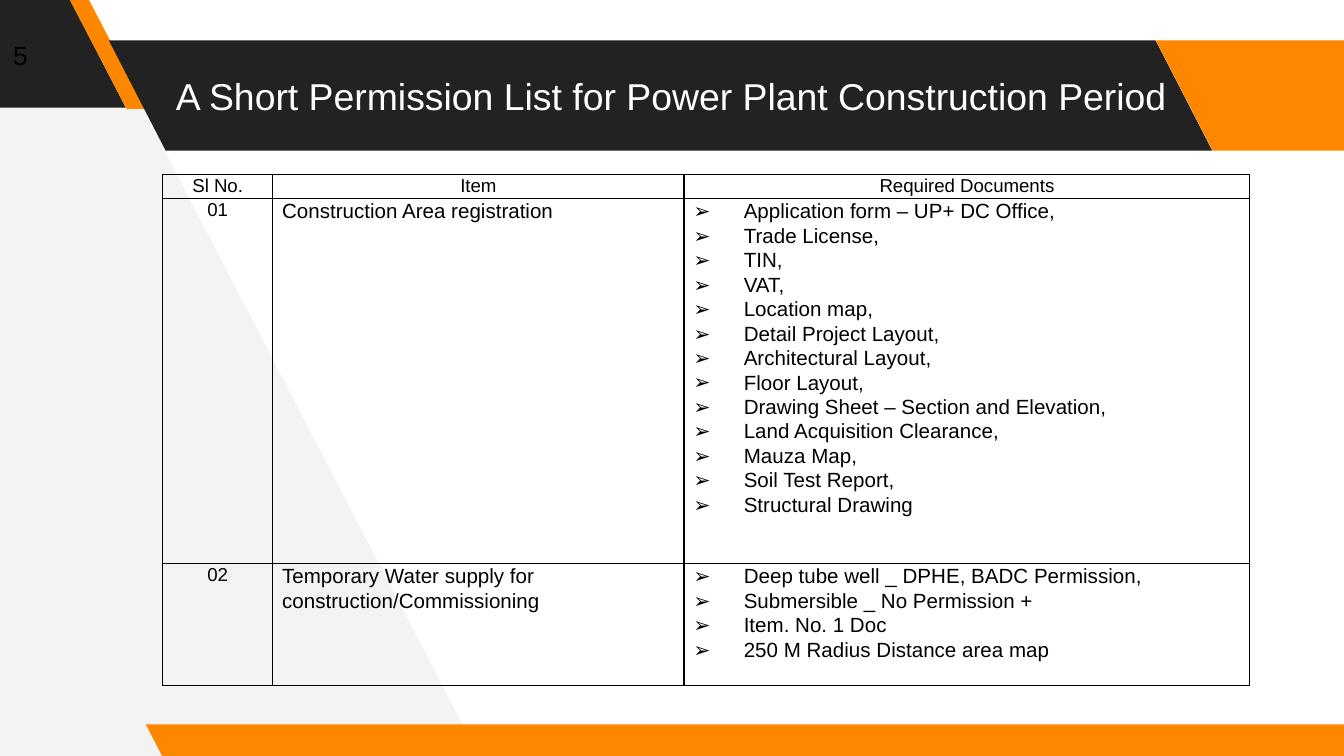
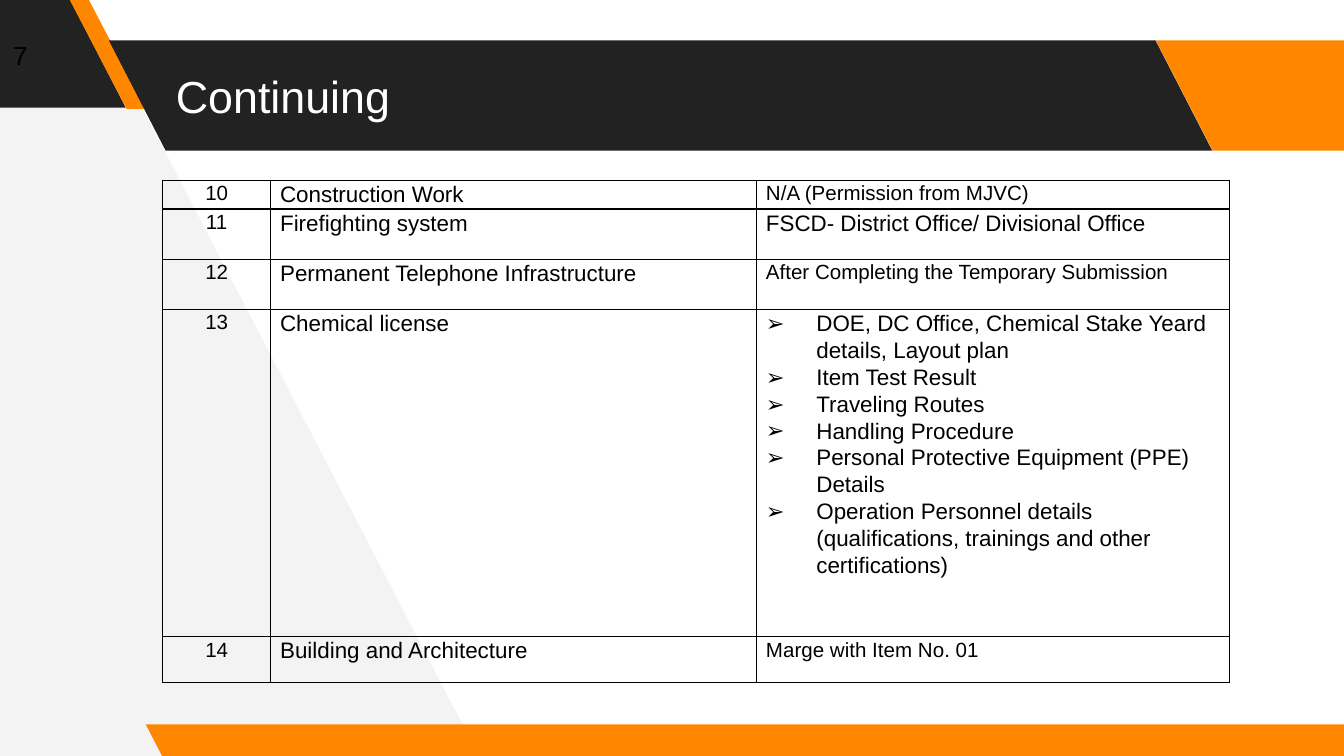
from dataclasses import dataclass

from lxml import etree
from pptx import Presentation
from pptx.dml.color import RGBColor
from pptx.enum.shapes import MSO_SHAPE
from pptx.enum.text import MSO_ANCHOR, PP_ALIGN
from pptx.oxml.ns import qn
from pptx.util import Emu, Inches, Pt

PARALLELOGRAM = MSO_SHAPE.PARALLELOGRAM
MIDDLE = MSO_ANCHOR.MIDDLE
LEFT, CENTER = PP_ALIGN.LEFT, PP_ALIGN.CENTER

SLIDE_WIDTH = Inches(10)
SLIDE_HEIGHT = Emu(SLIDE_WIDTH * 9 // 16)
GRID_COLUMNS = 100
UNIT = SLIDE_WIDTH // GRID_COLUMNS


def grid(count: float) -> Emu:
    return Emu(round(count * UNIT))


@dataclass(frozen=True)
class Theme:
    font: str = "Arial"
    dark: str = "222222"
    accent: str = "FF8700"
    pale: str = "F3F3F3"
    text: str = "000000"
    title: str = "FFFFFF"
    number_size: float = 14
    border_width: float = 0.75
    line_spacing: float = 1.07
    box_inset: float = 1
    cell_inset: float = 0.7
    bullet_indent: float = 3.75
    bullet: str = "➢"


THEME = Theme()


@dataclass(frozen=True)
class Area:
    left: float
    top: float
    width: float
    height: float

    def place(self) -> tuple[Emu, Emu, Emu, Emu]:
        return grid(self.left), grid(self.top), grid(self.width), grid(self.height)


@dataclass(frozen=True)
class Band:
    area: Area
    color: str
    slant: float = 0.515


@dataclass(frozen=True)
class CellText:
    lines: tuple[str, ...]
    size: float
    align: PP_ALIGN = LEFT
    bulleted: bool = False


@dataclass(frozen=True)
class TableRow:
    height: float
    cells: tuple[CellText, ...]


@dataclass(frozen=True)
class PermissionPage:
    number: str
    title: str
    title_size: float
    title_width: float
    table_top: float
    column_widths: tuple[float, ...]
    rows: tuple[TableRow, ...]


WEDGE = ((35.6, 56.2), (6.2, -0.4), (-0.6, -0.4), (-0.2, 56.6))
BANDS = (
    Band(Area(-9.85, -0.2, 19.2, 8.2), THEME.dark),
    Band(Area(5.15, -0.1, 5.7, 8.2), THEME.accent, 0.75),
    Band(Area(8.1, 3, 82.1, 8.2), THEME.dark),
    Band(Area(86, 3, 19.2, 8.2), THEME.accent),
    Band(Area(10.85, 53.9, 91.5, 2.5), THEME.accent),
)
NUMBER_AREA = Area(0, 2.1, 6, 4)
CONTENT_LEFT = 12.1
TITLE_TOP, TITLE_HEIGHT = 3, 8.2


def centered(text: str, size: float) -> CellText:
    return CellText((text,), size, CENTER)


def plain(text: str, size: float) -> CellText:
    return CellText((text,), size)


def bullets(size: float, *lines: str) -> CellText:
    return CellText(lines, size, bulleted=True)


PAGES = (
    PermissionPage(
        "5", "A Short Permission List for Power Plant Construction Period", 20, 82.9,
        13, (8.2, 30.6, 42.1),
        (
            TableRow(1.65, tuple(
                centered(heading, 10)
                for heading in ("Sl No.", "Item", "Required Documents")
            )),
            TableRow(27.15, (
                centered("01", 10),
                plain("Construction Area registration", 11),
                bullets(
                    11,
                    "Application form – UP+ DC Office,",
                    "Trade License,",
                    "TIN,",
                    "VAT,",
                    "Location map,",
                    "Detail Project Layout,",
                    "Architectural Layout,",
                    "Floor Layout,",
                    "Drawing Sheet – Section and Elevation,",
                    "Land Acquisition Clearance,",
                    "Mauza Map,",
                    "Soil Test Report,",
                    "Structural Drawing",
                ),
            )),
            TableRow(9.1, (
                centered("02", 10),
                plain("Temporary Water supply for construction/Commissioning", 11),
                bullets(
                    11,
                    "Deep tube well _ DPHE, BADC Permission,",
                    "Submersible _ No Permission +",
                    "Item. No. 1 Doc",
                    "250 M Radius Distance area map",
                ),
            )),
        ),
    ),
    PermissionPage(
        "7", "Continuing", 24, 73.5, 13.4, (8.05, 36.15, 35.2),
        (
            TableRow(1.9, (
                centered("10", 11),
                plain("Construction Work", 12),
                plain("N/A (Permission from MJVC)", 11),
            )),
            TableRow(3.75, (
                centered("11", 11),
                plain("Firefighting system", 12),
                plain("FSCD- District Office/ Divisional Office", 12),
            )),
            TableRow(3.75, (
                centered("12", 11),
                plain("Permanent Telephone Infrastructure", 12),
                plain("After Completing the Temporary Submission", 11),
            )),
            TableRow(24.35, (
                centered("13", 11),
                plain("Chemical license", 12),
                bullets(
                    12,
                    "DOE, DC Office, Chemical Stake Yeard details, Layout plan",
                    "Item Test Result",
                    "Traveling Routes",
                    "Handling Procedure",
                    "Personal Protective Equipment (PPE) Details",
                    "Operation Personnel details (qualifications, trainings "
                    "and other certifications)",
                ),
            )),
            TableRow(3.4, (
                centered("14", 11),
                plain("Building and Architecture", 12),
                plain("Marge with Item No. 01", 11),
            )),
        ),
    ),
)


def paint(shape, color: str) -> None:
    shape.shadow.inherit = False
    shape.fill.solid()
    shape.fill.fore_color.rgb = RGBColor.from_string(color)
    shape.line.fill.background()


def add_span(para, text: str, size: float, color: str) -> None:
    span = para.add_run()
    span.text = text
    span.font.name = THEME.font
    span.font.size = Pt(size)
    span.font.color.rgb = RGBColor.from_string(color)


def add_backdrop(page) -> None:
    start, *corners = [(grid(x), grid(y)) for x, y in WEDGE]
    outline = page.shapes.build_freeform(*start)
    outline.add_line_segments(corners, close=True)
    paint(outline.convert_to_shape(), THEME.pale)
    for band in BANDS:
        shape = page.shapes.add_shape(PARALLELOGRAM, *band.area.place())
        shape.adjustments[0] = band.slant
        shape._element.spPr.find(qn("a:xfrm")).set("flipH", "1")
        paint(shape, band.color)


def add_label(page, area: Area, text: str, size: float, color: str) -> None:
    frame = page.shapes.add_textbox(*area.place()).text_frame
    frame.word_wrap = True
    frame.vertical_anchor = MIDDLE
    inset = grid(THEME.box_inset)
    frame.margin_left = frame.margin_right = inset
    frame.margin_top = frame.margin_bottom = inset
    add_span(frame.paragraphs[0], text, size, color)


def add_borders(cell) -> None:
    properties = cell._tc.get_or_add_tcPr()
    for side in ("a:lnL", "a:lnR", "a:lnT", "a:lnB"):
        line = etree.SubElement(properties, qn(side), w=str(Pt(THEME.border_width)))
        fill = etree.SubElement(line, qn("a:solidFill"))
        etree.SubElement(fill, qn("a:srgbClr"), val=THEME.text)


def add_bullet(para) -> None:
    properties = para._p.get_or_add_pPr()
    indent = grid(THEME.bullet_indent)
    properties.set("marL", str(indent))
    properties.set("indent", str(-indent))
    etree.SubElement(properties, qn("a:buFont"), typeface=THEME.font)
    etree.SubElement(properties, qn("a:buChar"), char=THEME.bullet)


def fill_cell(cell, content: CellText) -> None:
    add_borders(cell)
    cell.fill.background()
    cell.margin_left = cell.margin_right = grid(THEME.cell_inset)
    cell.margin_top = cell.margin_bottom = 0
    frame = cell.text_frame
    for index, text in enumerate(content.lines):
        para = frame.add_paragraph() if index else frame.paragraphs[0]
        para.alignment = content.align
        para.line_spacing = THEME.line_spacing
        if content.bulleted:
            add_bullet(para)
        add_span(para, text, content.size, THEME.text)


def add_permission_table(page, content: PermissionPage) -> None:
    area = Area(
        CONTENT_LEFT,
        content.table_top,
        sum(content.column_widths),
        sum(row.height for row in content.rows),
    )
    table = page.shapes.add_table(
        len(content.rows), len(content.column_widths), *area.place()
    ).table
    table.first_row = table.horz_banding = False
    for column, width in zip(table.columns, content.column_widths):
        column.width = grid(width)
    for table_row, row in zip(table.rows, content.rows):
        table_row.height = grid(row.height)
        for cell, cell_text in zip(table_row.cells, row.cells):
            fill_cell(cell, cell_text)


def add_page(deck, content: PermissionPage) -> None:
    page = deck.slides.add_slide(deck.slide_layouts[6])
    add_backdrop(page)
    title_area = Area(CONTENT_LEFT, TITLE_TOP, content.title_width, TITLE_HEIGHT)
    add_label(page, title_area, content.title, content.title_size, THEME.title)
    add_label(page, NUMBER_AREA, content.number, THEME.number_size, THEME.text)
    add_permission_table(page, content)


def main() -> None:
    deck = Presentation()
    deck.slide_width, deck.slide_height = SLIDE_WIDTH, SLIDE_HEIGHT
    for content in PAGES:
        add_page(deck, content)
    deck.save("out.pptx")


if __name__ == "__main__":
    main()
